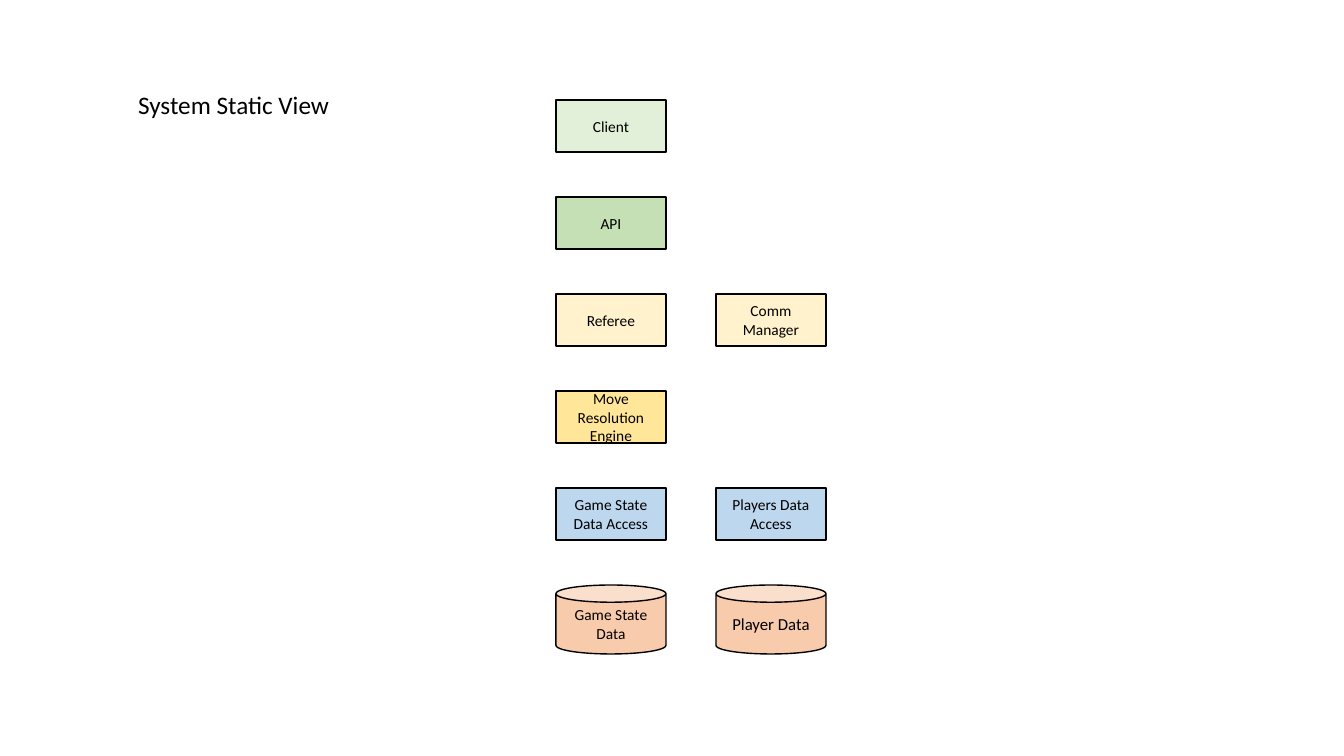
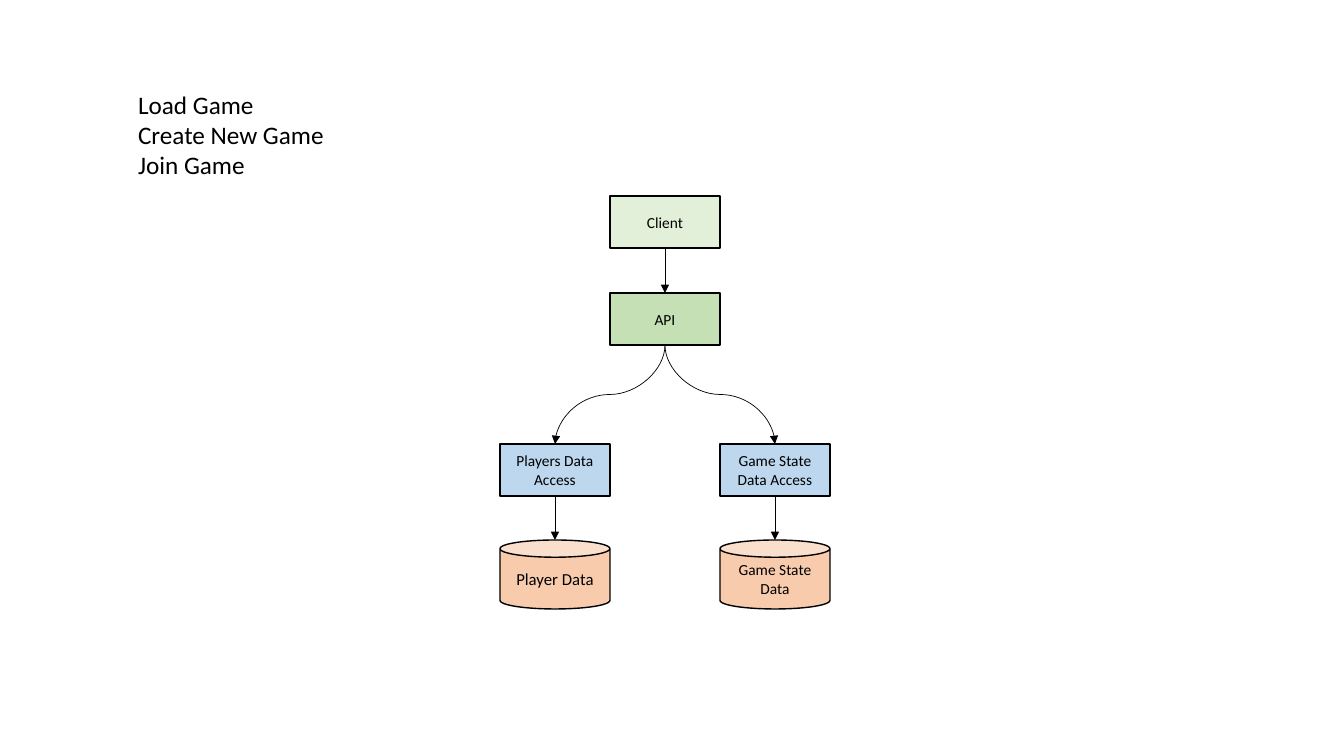
from lxml.etree import SubElement
from pptx import Presentation
from pptx.dml.color import RGBColor
from pptx.enum.shapes import MSO_CONNECTOR as LINK, MSO_SHAPE as SHAPE
from pptx.enum.text import MSO_ANCHOR as ANCHOR, MSO_AUTO_SIZE as FIT, PP_ALIGN as ALIGN
from pptx.oxml.ns import qn
from pptx.util import Pt

FONT, INK = "Calibri", "000000"
BOX_W, BOX_H, CAN_H = 110, 52, 69

PARTS = {
    "client": ("Client", "E2F0D9", 11),
    "api": ("API", "C5E0B4", 11),
    "referee": ("Referee", "FFF2CC", 11),
    "comm": ("Comm Manager", "FFF2CC", 11),
    "engine": ("Move Resolution Engine", "FFE699", 11),
    "game access": ("Game State Data Access", "BDD7EE", 11),
    "player access": ("Players Data Access", "BDD7EE", 11),
    "game data": ("Game State Data", "F8CBAD", 11),
    "player data": ("Player Data", "F8CBAD", 12),
}
STORES = ("game data", "player data")

LAYERS = [
    ("client",),
    ("api",),
    ("referee", "comm"),
    ("engine",),
    ("game access", "player access"),
    ("game data", "player data"),
]
FLOW_TOPS = {"client": 196, "api": 293, "access": 444, "data": 540}
FLOW_LEFT = {"player": 500, "shared": 610, "game": 720}
ARROWS = [
    ("client", "api"),
    ("api", "player access"),
    ("api", "game access"),
    ("player access", "player data"),
    ("game access", "game data"),
]


def px(pixels):
    return round(pixels * 914400 / 100.8)


def color(value):
    return RGBColor.from_string(value)


def add_span(para, text, size):
    span = para.add_run()
    span.text = text
    span.font.name, span.font.size = FONT, Pt(size)
    span.font.color.rgb = color(INK)


def add_page(lines, width, height):
    page = deck.slides.add_slide(deck.slide_layouts[5])
    title = page.shapes.title
    title.left, title.top, title.width, title.height = map(px, (128, 84, width, height))
    frame = title.text_frame
    frame.word_wrap, frame.auto_size = False, FIT.SHAPE_TO_FIT_TEXT
    frame.vertical_anchor = ANCHOR.TOP
    for index, line in enumerate(lines):
        para = frame.add_paragraph() if index else frame.paragraphs[0]
        para.alignment = ALIGN.LEFT
        add_span(para, line, 18)
    return page


def add_part(page, name, left, top):
    text, fill, size = PARTS[name]
    kind, height = (SHAPE.CAN, CAN_H) if name in STORES else (SHAPE.RECTANGLE, BOX_H)
    box = page.shapes.add_shape(kind, px(left), px(top), px(BOX_W), px(height))
    box.shadow.inherit = False
    box.fill.solid()
    box.fill.fore_color.rgb = color(fill)
    box.line.color.rgb, box.line.width = color(INK), Pt(1)
    box.text_frame.word_wrap = True
    box.text_frame.vertical_anchor = ANCHOR.MIDDLE
    para = box.text_frame.paragraphs[0]
    para.alignment = ALIGN.CENTER
    add_span(para, text, size)
    return box


def add_arrow(page, source, target, target_site):
    x1, y1 = source.left + source.width // 2, source.top + source.height
    x2, y2 = target.left + target.width // 2, target.top
    curved = x1 != x2
    ends = x1, y1, x2, y2
    if curved:
        side = 1 if x2 > x1 else -1
        middle_x, middle_y = (x1 + x2) // 2, (y1 + y2) // 2
        reach, rise = side * (y2 - y1) // 2, abs(x2 - x1) // 2
        ends = middle_x + reach, middle_y - rise, middle_x - reach, middle_y + rise
    arrow = page.shapes.add_connector(LINK.CURVE if curved else LINK.STRAIGHT, *ends)
    arrow.begin_connect(source, 2)
    arrow.end_connect(target, target_site)
    arrow.begin_x, arrow.begin_y, arrow.end_x, arrow.end_y = ends
    arrow.line.color.rgb, arrow.line.width = color(INK), Pt(0.5)
    properties = arrow._element.spPr
    if curved:
        properties.find(qn("a:xfrm")).set("rot", str(-side * 90 % 360 * 60000))
    SubElement(properties.find(qn("a:ln")), qn("a:tailEnd"), type="triangle")
    SubElement(properties, qn("a:effectLst"))


deck = Presentation()
deck.slide_width, deck.slide_height = px(1344), px(756)

static_page = add_page(["System Static View"], 214, 40)
for row, names in enumerate(LAYERS):
    for column, name in enumerate(names):
        add_part(static_page, name, 556 + 160 * column, 100 + 97 * row)

flow_page = add_page(["Load Game", "Create New Game", "Join Game"], 209, 102)
boxes = {}
for name in ("client", "api", "game access", "game data", "player access", "player data"):
    column, row = name.split() if " " in name else ("shared", name)
    boxes[name] = add_part(flow_page, name, FLOW_LEFT[column], FLOW_TOPS[row])
for source, target in ARROWS:
    add_arrow(flow_page, boxes[source], boxes[target], 1 if target in STORES else 0)

deck.save("out.pptx")
